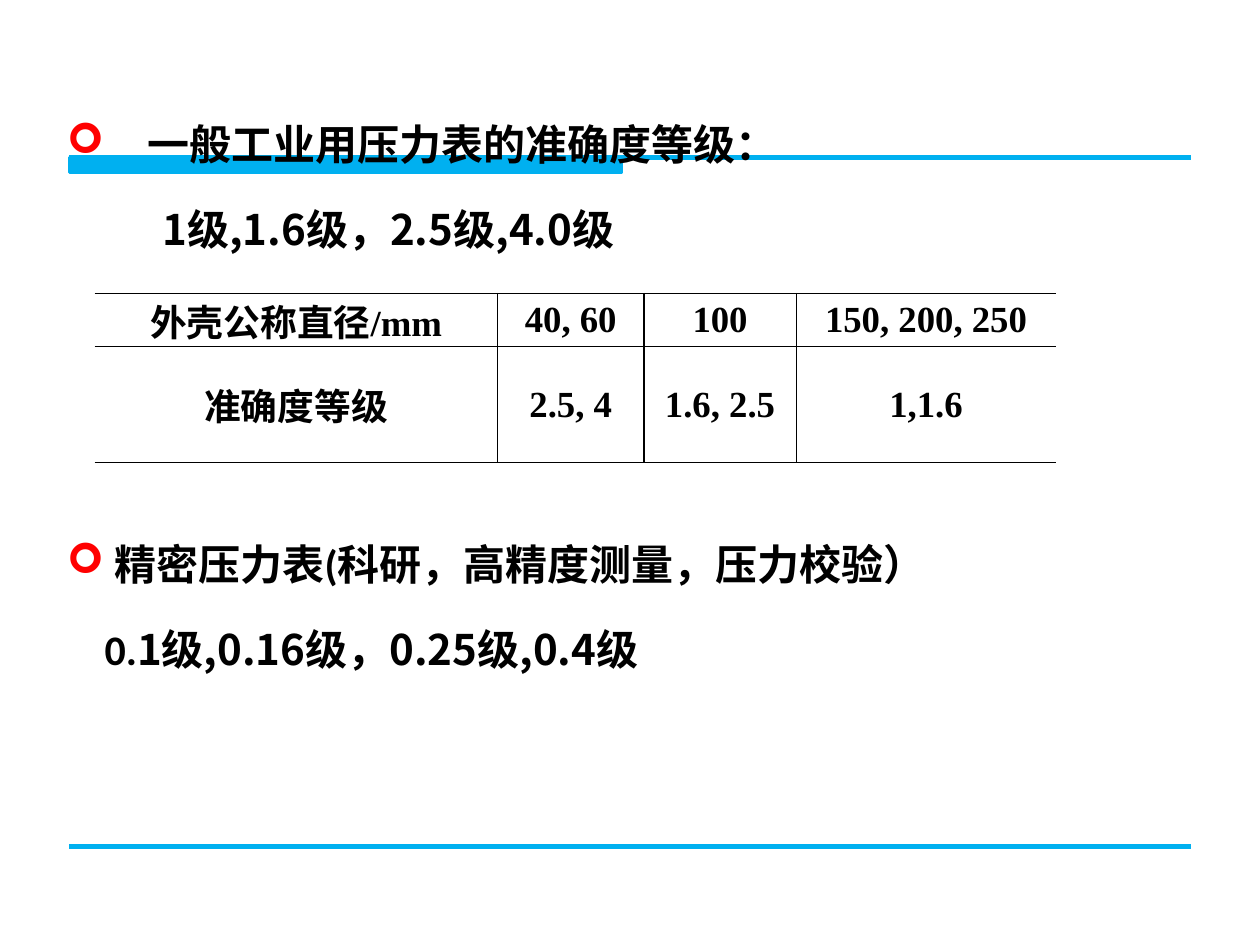
from lxml import etree
from pptx import Presentation
from pptx.dml.color import RGBColor
from pptx.enum.shapes import MSO_CONNECTOR, MSO_SHAPE
from pptx.enum.text import MSO_ANCHOR, MSO_AUTO_SIZE, PP_ALIGN
from pptx.oxml.ns import qn
from pptx.util import Inches, Pt

STRAIGHT = MSO_CONNECTOR.STRAIGHT
RECTANGLE = MSO_SHAPE.RECTANGLE
MIDDLE, TOP = MSO_ANCHOR.MIDDLE, MSO_ANCHOR.TOP
NO_AUTOFIT = MSO_AUTO_SIZE.NONE
CENTER, LEFT = PP_ALIGN.CENTER, PP_ALIGN.LEFT

BLUE = RGBColor(0x00, 0xB0, 0xF0)
BLACK = RGBColor(0x00, 0x00, 0x00)
RED = RGBColor(0xFF, 0x00, 0x00)
CJK_FONT, LATIN_FONT, TABLE_FONT = "Noto Sans CJK SC", "Calibri", "Times New Roman"

RULE_LEFT, RULE_RIGHT = 0.55, 9.45
HEADER_Y, FOOTER_Y = 1.25, 6.72
LINE_PITCH, PARAGRAPH_GAP, TABLE_GAP = 44, 4.8, 147

# Each line: runs as (text, font), left margin, hanging indent, space before
GRADE_LINES = [
    ([("一般工业用压力表的准确度等级：", CJK_FONT)], 0.64, 0.64, 0),
    ([("1级,1.6级，2.5级,4.0级", CJK_FONT)], 0.76, 0, PARAGRAPH_GAP),
    ([("精密压力表(科研，高精度测量，压力校验）", LATIN_FONT)], 0.38, 0.38, TABLE_GAP),
    ([("0.", LATIN_FONT), ("1级,0.16级，0.25级,0.4级", CJK_FONT)], 0.3, 0, PARAGRAPH_GAP),
]
TABLE_ROWS = [
    ["外壳公称直径/mm", "40, 60", "100", "150, 200, 250"],
    ["准确度等级", "2.5, 4", "1.6, 2.5", "1,1.6"],
]
COLUMN_WIDTHS = [3.2, 1.16, 1.21, 2.06]
ROW_HEIGHTS = [0.42, 0.92]


def format_run(run, font_name, size):
    run.font.name = font_name
    run.font.size = Pt(size)
    run.font.bold = True
    run.font.color.rgb = BLACK
    east_asian = etree.SubElement(run.font._element, qn("a:ea"))
    east_asian.set("typeface", CJK_FONT)


def add_rule(slide, y):
    rule = slide.shapes.add_connector(
        STRAIGHT, Inches(RULE_LEFT), Inches(y), Inches(RULE_RIGHT), Inches(y))
    rule.line.color.rgb = BLUE
    rule.line.width = Pt(3)
    etree.SubElement(rule.element.spPr, qn("a:effectLst"))


def add_header_bar(slide):
    bar = slide.shapes.add_shape(
        RECTANGLE, Inches(RULE_LEFT), Inches(HEADER_Y), Inches(4.38), Inches(0.12))
    bar.shadow.inherit = False
    bar.fill.solid()
    bar.fill.fore_color.rgb = BLUE
    bar.line.color.rgb = BLUE
    bar.line.width = Pt(2)


def set_bullet(paragraph, margin, hanging):
    properties = paragraph._p.get_or_add_pPr()
    properties.set("marL", str(Inches(margin)))
    properties.set("indent", str(-Inches(hanging)))
    if not hanging:
        etree.SubElement(properties, qn("a:buNone"))
        return
    color = etree.SubElement(properties, qn("a:buClr"))
    etree.SubElement(color, qn("a:srgbClr")).set("val", str(RED))
    etree.SubElement(properties, qn("a:buFont")).set("typeface", "Wingdings")
    etree.SubElement(properties, qn("a:buChar")).set("char", "➢")


def fill_body(body):
    body.left, body.top = Inches(0.43), Inches(0.68)
    body.width, body.height = Inches(9), Inches(5.75)
    frame = body.text_frame
    frame.word_wrap = True
    frame.auto_size = NO_AUTOFIT
    frame.vertical_anchor = TOP
    for index, (runs, margin, hanging, gap) in enumerate(GRADE_LINES):
        paragraph = frame.add_paragraph() if index else frame.paragraphs[0]
        set_bullet(paragraph, margin, hanging)
        paragraph.alignment = LEFT
        paragraph.line_spacing = Pt(LINE_PITCH)
        paragraph.space_before = Pt(gap)
        for text, font_name in runs:
            run = paragraph.add_run()
            run.text = text
            format_run(run, font_name, 24)


def set_borders(cell, visible_sides):
    properties = cell._tc.get_or_add_tcPr()
    for side in "LRTB":
        border = etree.SubElement(properties, qn(f"a:ln{side}"), w=str(Pt(1)))
        if side in visible_sides:
            fill = etree.SubElement(border, qn("a:solidFill"))
            etree.SubElement(fill, qn("a:srgbClr")).set("val", str(BLACK))
        else:
            etree.SubElement(border, qn("a:noFill"))


def fill_cell(cell, text, visible_sides):
    set_borders(cell, visible_sides)
    cell.fill.background()
    cell.vertical_anchor = MIDDLE
    cell.margin_left = cell.margin_right = Inches(0.07)
    cell.margin_top = cell.margin_bottom = 0
    cell.text = text
    paragraph = cell.text_frame.paragraphs[0]
    paragraph.alignment = CENTER
    format_run(paragraph.runs[0], TABLE_FONT, 21)


def add_grade_table(slide):
    table = slide.shapes.add_table(
        len(ROW_HEIGHTS), len(COLUMN_WIDTHS), Inches(0.75), Inches(2.33),
        Inches(sum(COLUMN_WIDTHS)), Inches(sum(ROW_HEIGHTS))).table
    table.first_row = table.horz_banding = False
    for column, width in zip(table.columns, COLUMN_WIDTHS):
        column.width = Inches(width)
    last = len(COLUMN_WIDTHS) - 1
    for row, height, texts in zip(table.rows, ROW_HEIGHTS, TABLE_ROWS):
        row.height = Inches(height)
        for index, (cell, text) in enumerate(zip(row.cells, texts)):
            # The outer left and right edges stay open
            sides = "TB" + ("L" if index else "") + ("R" if index < last else "")
            fill_cell(cell, text, sides)


def main():
    prs = Presentation()
    prs.slide_width, prs.slide_height = Inches(10), Inches(7.5)
    slide = prs.slides.add_slide(prs.slide_layouts[1])
    title, body = slide.placeholders
    slide.shapes.element.remove(title.element)

    # Rules and bar lie behind the text
    add_rule(slide, HEADER_Y)
    add_header_bar(slide)
    add_rule(slide, FOOTER_Y)
    slide.shapes.element.append(body.element)

    fill_body(body)
    add_grade_table(slide)
    prs.save("out.pptx")


if __name__ == "__main__":
    main()
